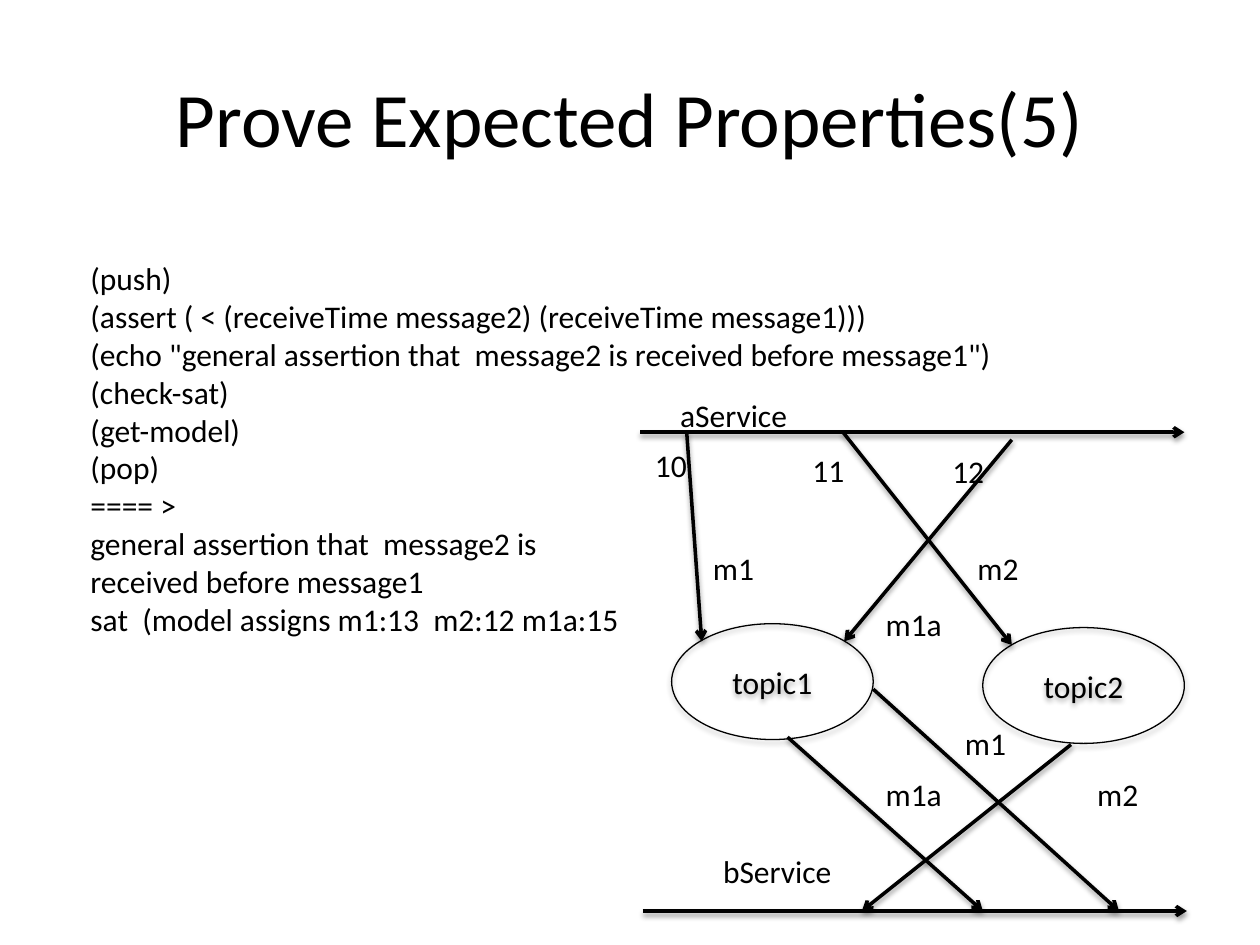
from lxml import etree
from pptx import Presentation
from pptx.dml.color import RGBColor
from pptx.enum import shapes, text
from pptx.oxml import ns
from pptx.util import Pt

# Content: all lengths in points
COLORS = {"ink": "000000"}
FONT = "Calibri"
TITLE = "Prove Expected Properties(5)"
CODE = [
    "(push)",
    "(assert ( < (receiveTime message2) (receiveTime message1)))",
    "(echo \"general assertion that  message2 is received before message1\")",
    "(check-sat)",
    "(get-model)",
    "(pop)",
    "==== >",
    "general assertion that  message2 is",
    "received before message1",
    "sat  (model assigns m1:13  m2:12 m1a:15",
]
TOP, BASE = 247, 520.6  # heights of the two service time lines
AXES = [(365.8, TOP, 676.8, TOP), (367.2, BASE, 678.2, BASE)]
SENDS = [
    (392.4, TOP, 401, 366.5),
    (481.7, TOP, 578.2, 368.6),
    (578.2, 251.3, 482.4, 366.5),
]
RECEIPTS = [
    (499, 393.8, 639.4, BASE),
    (450, 421.2, 561.6, BASE),
    (612, 425.5, 492.5, BASE),
]
TOPICS = [("topic1", 383.8, 356.4), ("topic2", 561.6, 358.6)]
TOPIC_W, TOPIC_H = 115.2, 66.2
LABELS = [  # text, left, top, width
    ("aService", 381.6, 222.5, 76.3),
    ("10", 367.2, 251.3, 33.1),
    ("11", 457.2, 254.2, 33.1),
    ("12", 537.1, 254.9, 33.1),
    ("m1", 400.3, 310.3, 38.2),
    ("m2", 551.5, 310.3, 38.2),
    ("m1a", 499, 342, 46.8),
    ("bService", 406.1, 483.1, 77),
    ("m1", 544.3, 410.4, 38.2),
    ("m1a", 499, 439.2, 46.8),
    ("m2", 619.9, 439.2, 38.2),
]
LABEL_H = 28.8

deck = Presentation()
deck.slide_width, deck.slide_height = Pt(720), Pt(540)
slide = deck.slides.add_slide(deck.slide_layouts[6])
ink = RGBColor.from_string(COLORS["ink"])


def write(shape, lines, size=18, align=text.PP_ALIGN.LEFT,
          anchor=text.MSO_ANCHOR.TOP, wrap=False):
    frame = shape.text_frame
    frame.word_wrap = wrap
    frame.vertical_anchor = anchor
    if not wrap:
        frame.auto_size = text.MSO_AUTO_SIZE.SHAPE_TO_FIT_TEXT
    for i, line in enumerate(lines):
        para = frame.paragraphs[0] if i == 0 else frame.add_paragraph()
        para.alignment = align
        run = para.add_run()
        run.text = line
        run.font.size, run.font.name = Pt(size), FONT
        run.font.color.rgb = ink


def add_box(left, top, width, height, lines, **style):
    box = slide.shapes.add_textbox(Pt(left), Pt(top), Pt(width), Pt(height))
    write(box, lines, **style)


def add_shadow(shape, alpha, dist):
    props = shape._element.spPr
    fx = etree.SubElement(props, ns.qn("a:effectLst"))
    shade = etree.SubElement(fx, ns.qn("a:outerShdw"), blurRad=str(Pt(3.1)),
                             dist=str(Pt(dist)), dir="5400000", rotWithShape="0")
    tone = etree.SubElement(shade, ns.qn("a:srgbClr"), val=COLORS["ink"])
    etree.SubElement(tone, ns.qn("a:alpha"), val=str(alpha * 1000))


def add_arrow(*ends):
    line = slide.shapes.add_connector(shapes.MSO_CONNECTOR.STRAIGHT,
                                      *[Pt(v) for v in ends])
    line.line.color.rgb = ink
    line.line.width = Pt(2)
    etree.SubElement(line.line._get_or_add_ln(), ns.qn("a:tailEnd"), type="arrow")
    add_shadow(line, 38, 1.6)


def add_topic(name, left, top):
    oval = slide.shapes.add_shape(shapes.MSO_SHAPE.OVAL, Pt(left), Pt(top),
                                  Pt(TOPIC_W), Pt(TOPIC_H))
    oval.fill.background()
    oval.line.color.rgb = ink
    oval.line.width = Pt(0.75)
    add_shadow(oval, 35, 1.8)
    write(oval, [name], align=text.PP_ALIGN.CENTER,
          anchor=text.MSO_ANCHOR.MIDDLE, wrap=True)


# Title and code
add_box(36, 21.6, 648, 90, [TITLE], size=44, align=text.PP_ALIGN.CENTER,
        anchor=text.MSO_ANCHOR.MIDDLE, wrap=True)
add_box(44.6, 144.7, 536.4, 225.4, CODE)

# Message diagram
for topic in TOPICS:
    add_topic(*topic)
for ends in AXES + SENDS + RECEIPTS:
    add_arrow(*ends)
for word, left, top, width in LABELS:
    add_box(left, top, width, LABEL_H, [word])

deck.save("out.pptx")
